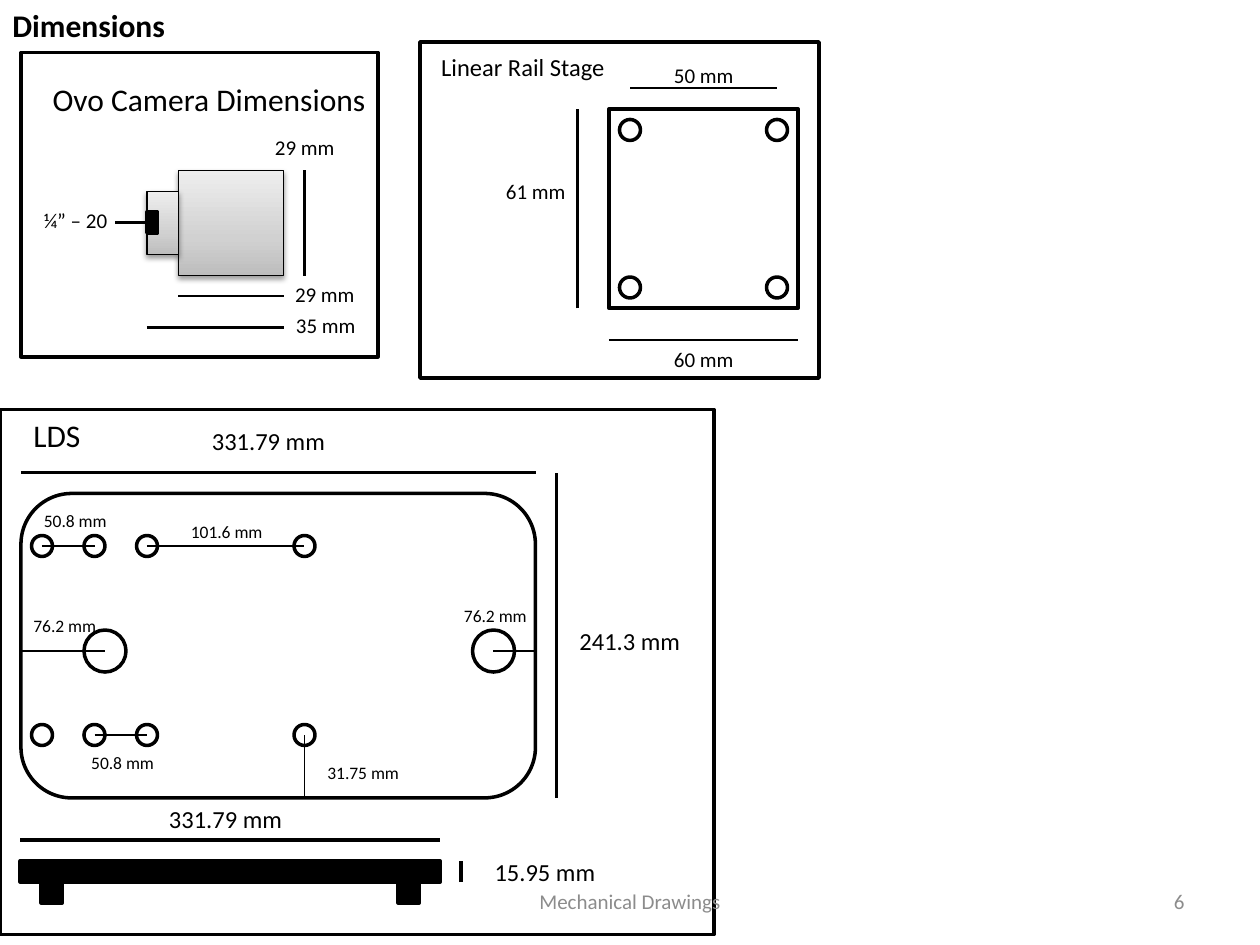
import pptx
import pptx.dml.color
import pptx.enum.shapes
import pptx.enum.text
import pptx.oxml
import pptx.oxml.ns
import pptx.util

Pt = pptx.util.Pt
SHAPE = pptx.enum.shapes.MSO_SHAPE
ALIGN = pptx.enum.text.PP_ALIGN
BLACK, WHITE, GRAY = "000000", "FFFFFF", "8C8C8C"
LABEL_HEIGHTS = {10: 19.4, 12: 21.8, 14: 24.2, 18: 29}
NAMESPACE = pptx.oxml.ns.nsdecls("a")


def color(value):
    return pptx.dml.color.RGBColor.from_string(value)


def add_box(shapes, kind, left, top, width, height, fill=WHITE, line=2):
    shape = shapes.add_shape(kind, Pt(left), Pt(top), Pt(width), Pt(height))
    shape.shadow.inherit = False
    if fill:
        shape.fill.solid()
        shape.fill.fore_color.rgb = color(fill)
    else:
        shape.fill.background()
    shape.line.color.rgb = color(BLACK)
    shape.line.width = Pt(line)
    return shape


def add_metal_box(shapes, left, top, width, height):
    """A rectangle with a vertical gray gradient and a soft shadow."""
    shape = add_box(shapes, SHAPE.RECTANGLE, left, top, width, height, line=0.75)
    stops = "".join(
        f'<a:gs pos="{position * 1000}"><a:srgbClr val="{value}"/></a:gs>'
        for position, value in ((0, "BDBDBD"), (35, "D1D1D1"), (100, "EEEEEE")))
    gradient = pptx.oxml.parse_xml(
        f'<a:gradFill {NAMESPACE} rotWithShape="1"><a:gsLst>{stops}</a:gsLst>'
        '<a:lin ang="16200000" scaled="0"/></a:gradFill>')
    shadow = pptx.oxml.parse_xml(
        f'<a:outerShdw {NAMESPACE} blurRad="{Pt(3.1)}" dist="{Pt(1.6)}" '
        'dir="5400000" rotWithShape="0"><a:srgbClr val="000000">'
        '<a:alpha val="38000"/></a:srgbClr></a:outerShdw>')
    properties = shape._element.spPr
    solid = properties.find(pptx.oxml.ns.qn("a:solidFill"))
    properties.replace(solid, gradient)
    properties.find(pptx.oxml.ns.qn("a:effectLst")).append(shadow)


def add_hole(shapes, center_x, center_y, diameter=12):
    radius = diameter / 2
    add_box(shapes, SHAPE.OVAL, center_x - radius, center_y - radius,
            diameter, diameter)


def add_line(shapes, x1, y1, x2, y2, width):
    connector = shapes.add_connector(
        pptx.enum.shapes.MSO_CONNECTOR.STRAIGHT, Pt(x1), Pt(y1), Pt(x2), Pt(y2))
    connector.line.color.rgb = color(BLACK)
    connector.line.width = Pt(width)
    connector._element.spPr.append(
        pptx.oxml.parse_xml(f"<a:effectLst {NAMESPACE}/>"))


def add_text(shapes, text, left, top, width, height, size,
             bold=False, ink=BLACK, align=ALIGN.LEFT):
    box = shapes.add_textbox(Pt(left), Pt(top), Pt(width), Pt(height))
    paragraph = box.text_frame.paragraphs[0]
    paragraph.alignment = align
    run = paragraph.add_run()
    run.text = text
    run.font.name = "Calibri"
    run.font.size = Pt(size)
    run.font.bold = bold
    run.font.color.rgb = color(ink)
    return box.text_frame


def add_label(shapes, text, left, top, width, size, bold=False):
    frame = add_text(shapes, text, left, top, width, LABEL_HEIGHTS[size], size, bold)
    frame.word_wrap = False
    frame.auto_size = pptx.enum.text.MSO_AUTO_SIZE.SHAPE_TO_FIT_TEXT


def add_footer(shapes, text, left, width, align):
    frame = add_text(shapes, text, left, 500.4, width, 28.8, 12, ink=GRAY, align=align)
    frame.word_wrap = True
    frame.vertical_anchor = pptx.enum.text.MSO_ANCHOR.MIDDLE


def draw_camera(shapes):
    add_metal_box(shapes, 102, 97.4, 60, 60)
    add_metal_box(shapes, 84, 109.4, 18, 36)
    add_box(shapes, SHAPE.RECTANGLE, 84, 121.2, 6, 12, BLACK)
    for line in ((102, 169.2, 162, 169.2), (84, 187.2, 162, 187.2),
                 (66, 127.3, 84, 127.3), (174, 157.5, 174, 97.4)):
        add_line(shapes, *line, 1.5)
    for text, left, top, width in (
            ("29 mm", 161.5, 157.3, 49), ("35 mm", 162, 175, 49),
            ("¼” – 20", 18, 115, 51), ("29 mm", 150, 73.5, 49)):
        add_label(shapes, text, left, top, width, 12)
    add_label(shapes, "Ovo Camera Dimensions", 23, 42, 193, 18)


def draw_rail_stage(shapes):
    add_label(shapes, "Linear Rail Stage", 245, 26, 109, 14)
    add_box(shapes, SHAPE.RECTANGLE, 348, 62.2, 108, 114)
    for center_x in (360, 444):
        for center_y in (74.3, 164.3):
            add_hole(shapes, center_x, center_y)
    for line in ((330, 176.2, 330, 62.2), (348, 194.3, 456, 194.3),
                 (360, 50.3, 444, 50.3)):
        add_line(shapes, *line, 1.5)
    for text, left, top in (("61 mm", 282, 98.3), ("60 mm", 378, 194.5),
                            ("50 mm", 378, 32)):
        add_label(shapes, text, left, top, 49, 12)


def draw_plate(shapes):
    add_box(shapes, SHAPE.ROUNDED_RECTANGLE, 12, 282, 294, 174)
    add_label(shapes, "LDS", 12, 234, 42, 18)
    # Outer dimensions
    add_line(shapes, 12, 270, 306, 270, 2.25)
    add_line(shapes, 318, 456, 318, 270, 2.25)
    add_label(shapes, "331.79 mm", 114, 240, 80, 14)
    add_label(shapes, "241.3 mm", 324, 354, 73, 14)
    # Holes
    for center_x in (60, 282):
        add_hole(shapes, center_x, 372, 24)
    for center_x in (24, 54, 84, 174):
        for center_y in (312, 420):
            add_hole(shapes, center_x, center_y)
    # Hole spacing
    for line in ((24, 312, 54, 312), (54, 420, 84, 420), (84, 312, 174, 312),
                 (12, 372, 60, 372), (282, 372, 306, 372), (174, 456, 174, 420)):
        add_line(shapes, *line, 0.75)
    for text, left, top, width in (
            ("50.8 mm", 18, 288, 51), ("50.8 mm", 45, 426, 51),
            ("101.6 mm", 102, 294, 56), ("76.2 mm", 12, 348, 51),
            ("76.2 mm", 258, 342, 51), ("31.75 mm", 180, 432, 56)):
        add_label(shapes, text, left, top, width, 10)


def draw_side_view(shapes):
    for box in ((11.5, 492, 240, 12), (23.5, 504, 12, 12), (227.5, 504, 12, 12)):
        add_box(shapes, SHAPE.RECTANGLE, *box, BLACK)
    add_line(shapes, 11.5, 480, 251.5, 480, 2.25)
    add_line(shapes, 263.5, 504, 263.5, 492, 2.25)
    add_label(shapes, "331.79 mm", 89.5, 456, 80, 14)
    add_label(shapes, "15.95 mm", 275.5, 486, 73, 14)


def main():
    presentation = pptx.Presentation()
    presentation.slide_width, presentation.slide_height = Pt(720), Pt(540)
    slide = presentation.slides.add_slide(presentation.slide_layouts[6])
    shapes = slide.shapes

    # Drawings, one group each
    for draw in (draw_camera, draw_rail_stage, draw_plate, draw_side_view):
        draw(shapes.add_group_shape().shapes)

    # Title and frames
    add_label(shapes, "Dimensions", 0, 0, 102, 18, bold=True)
    for frame in ((12, 30, 204, 174), (0, 234, 408, 300), (240, 24, 228, 192)):
        add_box(shapes, SHAPE.RECTANGLE, *frame, fill=None)

    # Footer
    add_footer(shapes, "6", 516, 168, ALIGN.RIGHT)
    add_footer(shapes, "Mechanical Drawings", 246, 228, ALIGN.CENTER)
    presentation.save("out.pptx")


main()
